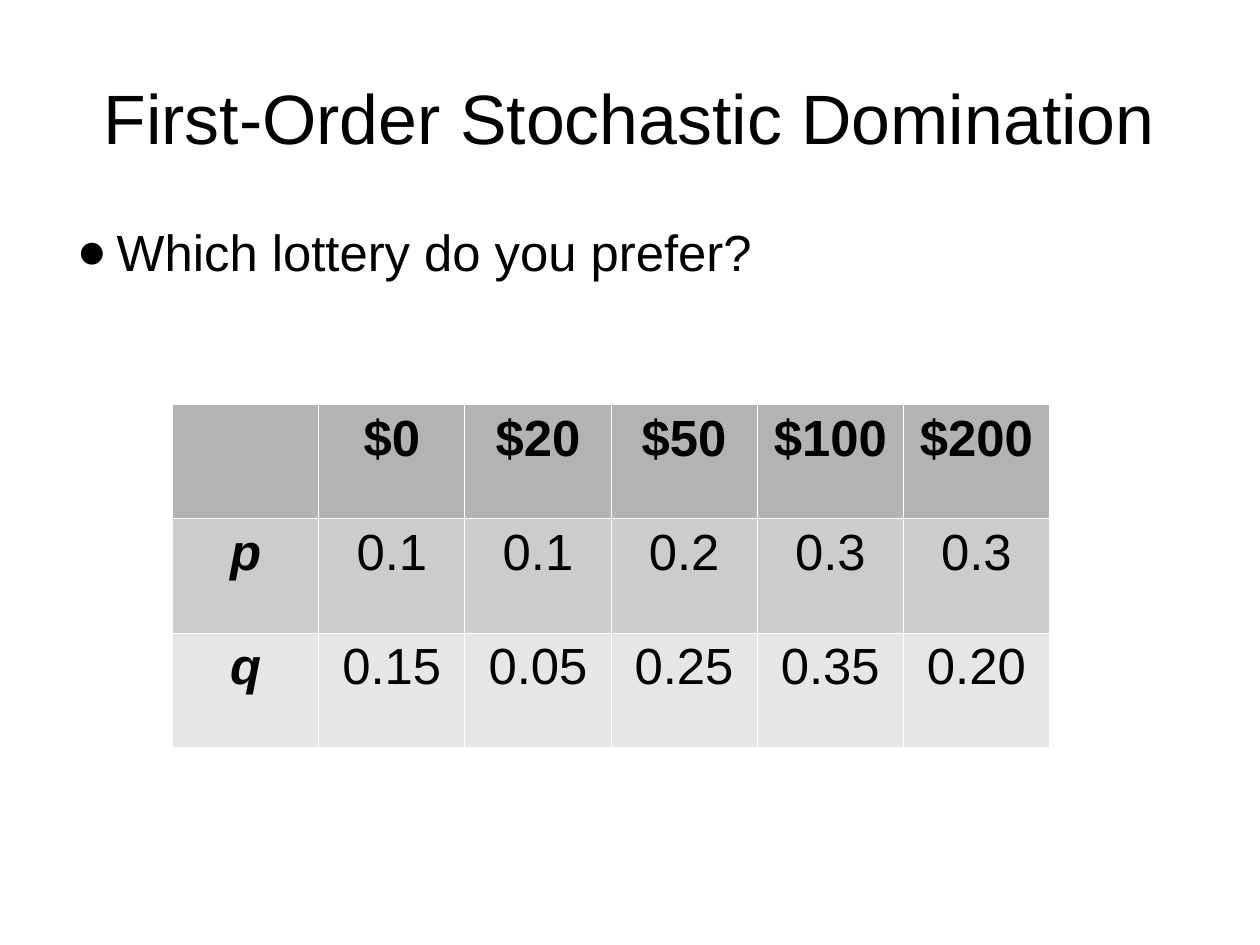
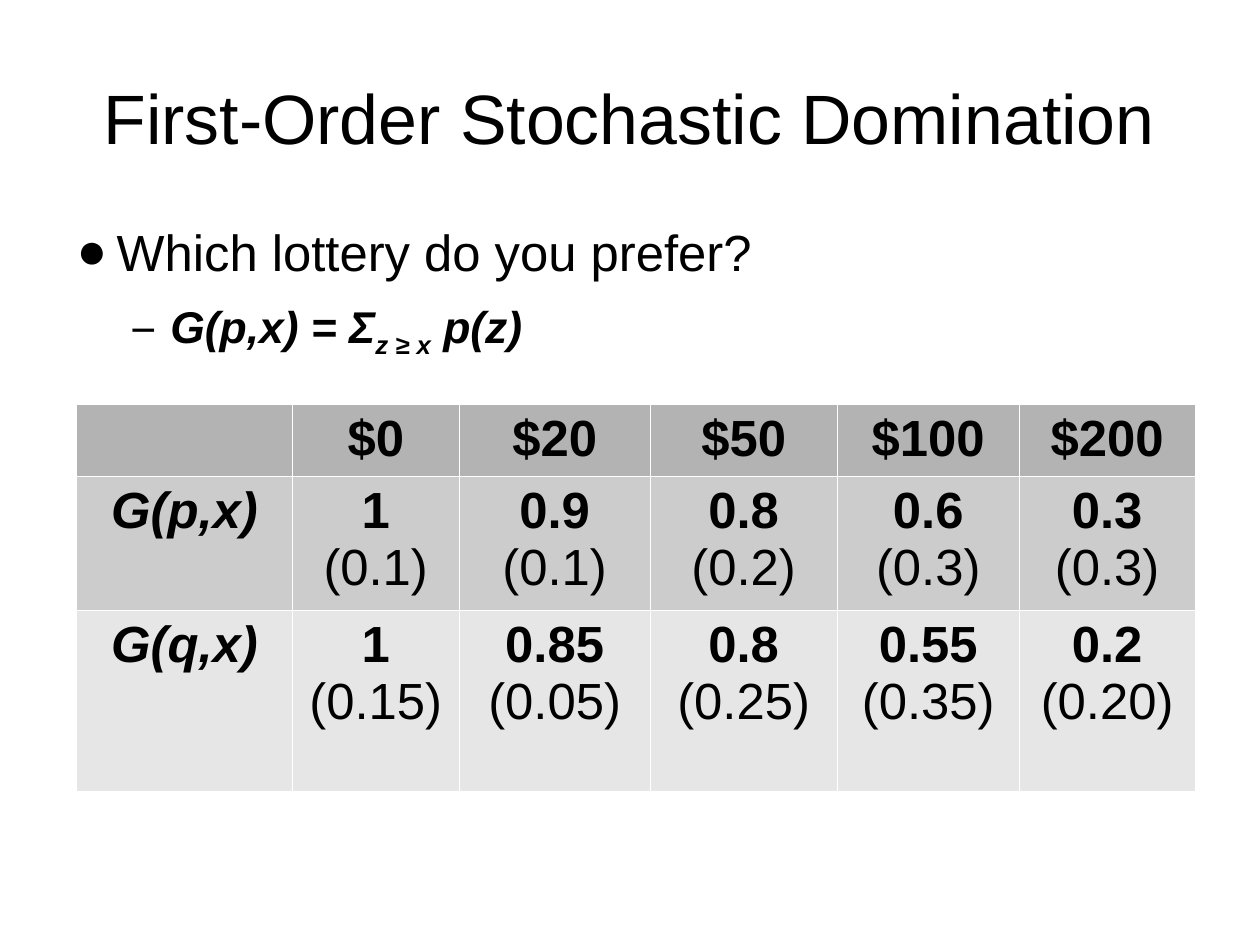
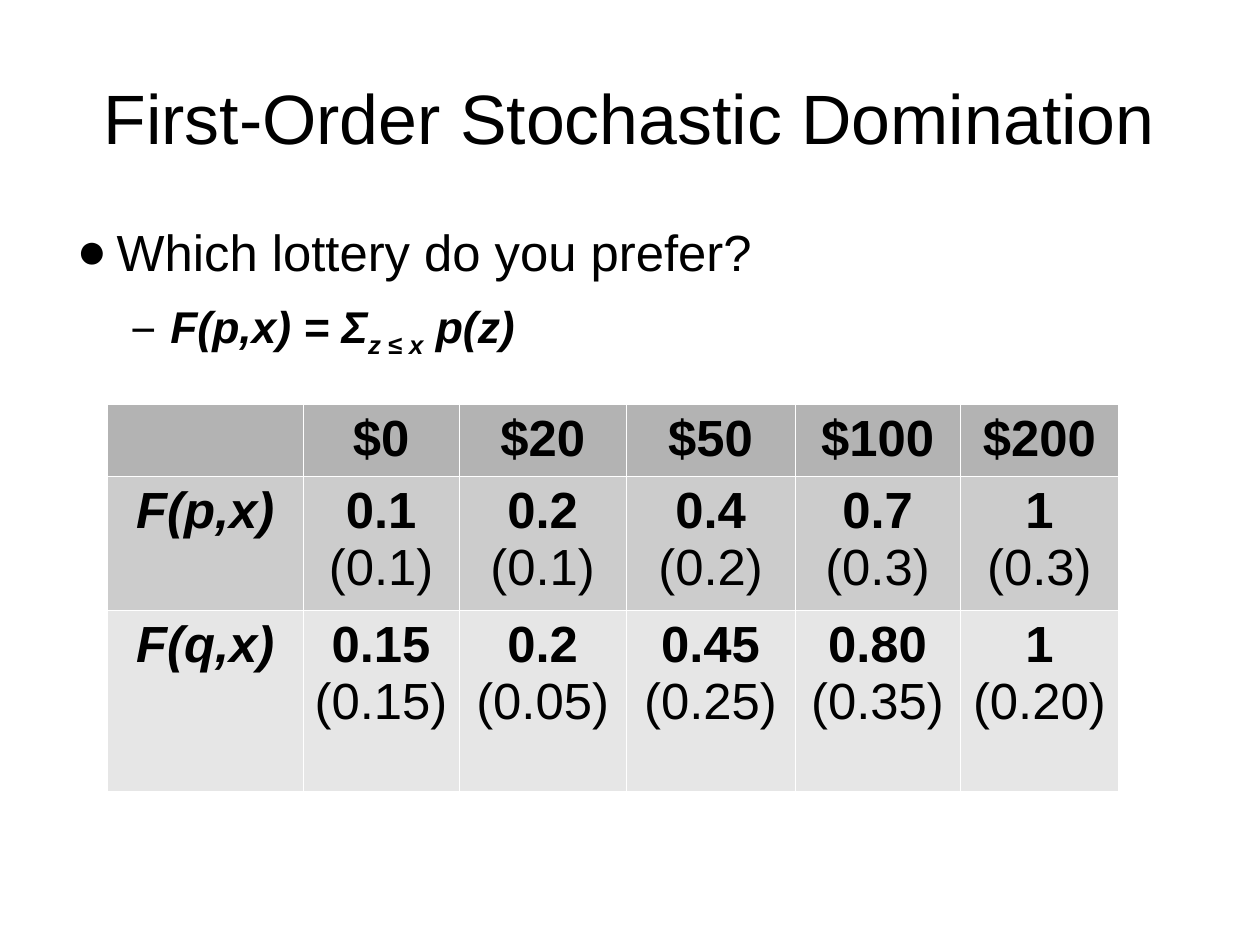
from lxml import etree
from pptx import Presentation
from pptx.dml.color import RGBColor
from pptx.enum.text import MSO_ANCHOR, PP_ALIGN
from pptx.oxml.ns import qn
from pptx.util import Cm, Inches, Pt

CENTER = PP_ALIGN.CENTER
MIDDLE = MSO_ANCHOR.MIDDLE

BLACK = RGBColor(0x00, 0x00, 0x00)
WHITE = RGBColor(0xFF, 0xFF, 0xFF)
ROW_FILLS = [
    RGBColor(0xB3, 0xB3, 0xB3),
    RGBColor(0xCC, 0xCC, 0xCC),
    RGBColor(0xE6, 0xE6, 0xE6),
]

FONT = "Arial"
TITLE = "First-Order Stochastic Domination"
QUESTION = "Which lottery do you prefer?"
TITLE_FONT = {"size": Pt(44)}
BODY_FONT = {"size": Pt(32)}
BOLD_FONT = {"size": Pt(32), "bold": True}
LABEL_FONT = {"size": Pt(32), "bold": True, "italic": True}
FORMULA_FONT = {"size": Pt(28), "bold": True, "italic": True}

PRIZES = ["$0", "$20", "$50", "$100", "$200"]
LOTTERIES = [
    ["0.1", "0.1", "0.2", "0.3", "0.3"],
    ["0.15", "0.05", "0.25", "0.35", "0.20"],
]

# Table left, column widths and row heights are in grid units.
SLIDES = [
    {
        "formula": None,
        "labels": ["p", "q"],
        "cumulative": None,
        "left": 2.74,
        "columns": [2.32] * 6,
        "rows": [3.63] * 3,
    },
    {
        "formula": ["G(p,x) = Σ", "z ≥ x", " p(z)"],
        "labels": ["G(p,x)", "G(q,x)"],
        "cumulative": [
            ["1", "0.9", "0.8", "0.6", "0.3"],
            ["1", "0.85", "0.8", "0.55", "0.2"],
        ],
        "left": 1.22,
        "columns": [3.42, 2.65, 3.03, 2.97, 2.89, 2.79],
        "rows": [2.18, 4, 5.75],
    },
    {
        "formula": ["F(p,x) = Σ", "z ≤ x", " p(z)"],
        "labels": ["F(p,x)", "F(q,x)"],
        "cumulative": [
            ["0.1", "0.2", "0.4", "0.7", "1"],
            ["0.15", "0.2", "0.45", "0.80", "1"],
        ],
        "left": 1.71,
        "columns": [3.1, 2.48, 2.65, 2.68, 2.62, 2.52],
        "rows": [2.18, 4, 5.75],
    },
]


def add_run(paragraph, text, font_format):
    run = paragraph.add_run()
    run.text = text
    run.font.name = FONT
    run.font.color.rgb = BLACK
    for attribute, value in font_format.items():
        setattr(run.font, attribute, value)
    return run


def set_bullet(paragraph, symbol, margin):
    properties = paragraph._p.get_or_add_pPr()
    properties.set("marL", str(Inches(margin)))
    properties.set("indent", str(Inches(-0.35)))
    bullet_color = etree.SubElement(properties, qn("a:buClr"))
    etree.SubElement(bullet_color, qn("a:srgbClr"), val=str(BLACK))
    etree.SubElement(properties, qn("a:buFont"), typeface=FONT)
    etree.SubElement(properties, qn("a:buChar"), char=symbol)


prs = Presentation()
prs.slide_width = Cm(28)
prs.slide_height = Cm(21)
COL = prs.slide_width / 20
ROW = prs.slide_height / 30
blank = prs.slide_layouts[6]

for content in SLIDES:
    slide = prs.slides.add_slide(blank)

    frames = []
    for top, height in [(1.2, 5), (7, 17.4)]:
        box = slide.shapes.add_textbox(
            int(COL), int(top * ROW), int(18 * COL), int(height * ROW))
        frame = box.text_frame
        frame.word_wrap = True
        for side in ("left", "top", "right", "bottom"):
            setattr(frame, f"margin_{side}", 0)
        frames.append(frame)
    title, body = frames

    title.vertical_anchor = MIDDLE
    title.paragraphs[0].alignment = CENTER
    add_run(title.paragraphs[0], TITLE, TITLE_FONT)

    question = body.paragraphs[0]
    set_bullet(question, "●", 0.47)
    add_run(question, QUESTION, BODY_FONT)

    if content["formula"]:
        formula = body.add_paragraph()
        formula.level = 1
        formula.space_before = Pt(11.3)
        set_bullet(formula, "−", 0.94)
        total, condition, summand = content["formula"]
        add_run(formula, total, FORMULA_FONT)
        subscript = add_run(formula, condition, FORMULA_FONT)
        subscript._r.get_or_add_rPr().set("baseline", "-25000")
        add_run(formula, summand, FORMULA_FONT)

    # Each cell is a list of (text, font format) pieces.
    grid = [[[]] + [[(prize, BOLD_FONT)] for prize in PRIZES]]
    for lottery, label in enumerate(content["labels"]):
        cells = [[(label, LABEL_FONT)]]
        for prize, chance in enumerate(LOTTERIES[lottery]):
            if content["cumulative"]:
                cells.append([
                    (content["cumulative"][lottery][prize], BOLD_FONT),
                    (f" ({chance})", BODY_FONT),
                ])
            else:
                cells.append([(chance, BODY_FONT)])
        grid.append(cells)

    lottery_table = slide.shapes.add_table(
        len(grid), len(grid[0]),
        int(content["left"] * COL), int(12.84 * ROW),
        int(sum(content["columns"]) * COL), int(sum(content["rows"]) * ROW),
    ).table
    lottery_table.first_row = False
    lottery_table.horz_banding = False
    for column, width in zip(lottery_table.columns, content["columns"]):
        column.width = int(width * COL)
    for row, height in zip(lottery_table.rows, content["rows"]):
        row.height = int(height * ROW)

    for row, (cells, row_fill) in enumerate(zip(grid, ROW_FILLS)):
        for column, pieces in enumerate(cells):
            cell = lottery_table.cell(row, column)
            properties = cell._tc.get_or_add_tcPr()
            for edge in ("a:lnL", "a:lnR", "a:lnT", "a:lnB"):
                line = etree.SubElement(properties, qn(edge), w=str(Pt(0.75)))
                line_fill = etree.SubElement(line, qn("a:solidFill"))
                etree.SubElement(line_fill, qn("a:srgbClr"), val=str(WHITE))
            cell.fill.solid()
            cell.fill.fore_color.rgb = row_fill
            paragraph = cell.text_frame.paragraphs[0]
            paragraph.alignment = CENTER
            paragraph.line_spacing = 1.0
            for text, font_format in pieces:
                add_run(paragraph, text, font_format)

prs.save("out.pptx")
